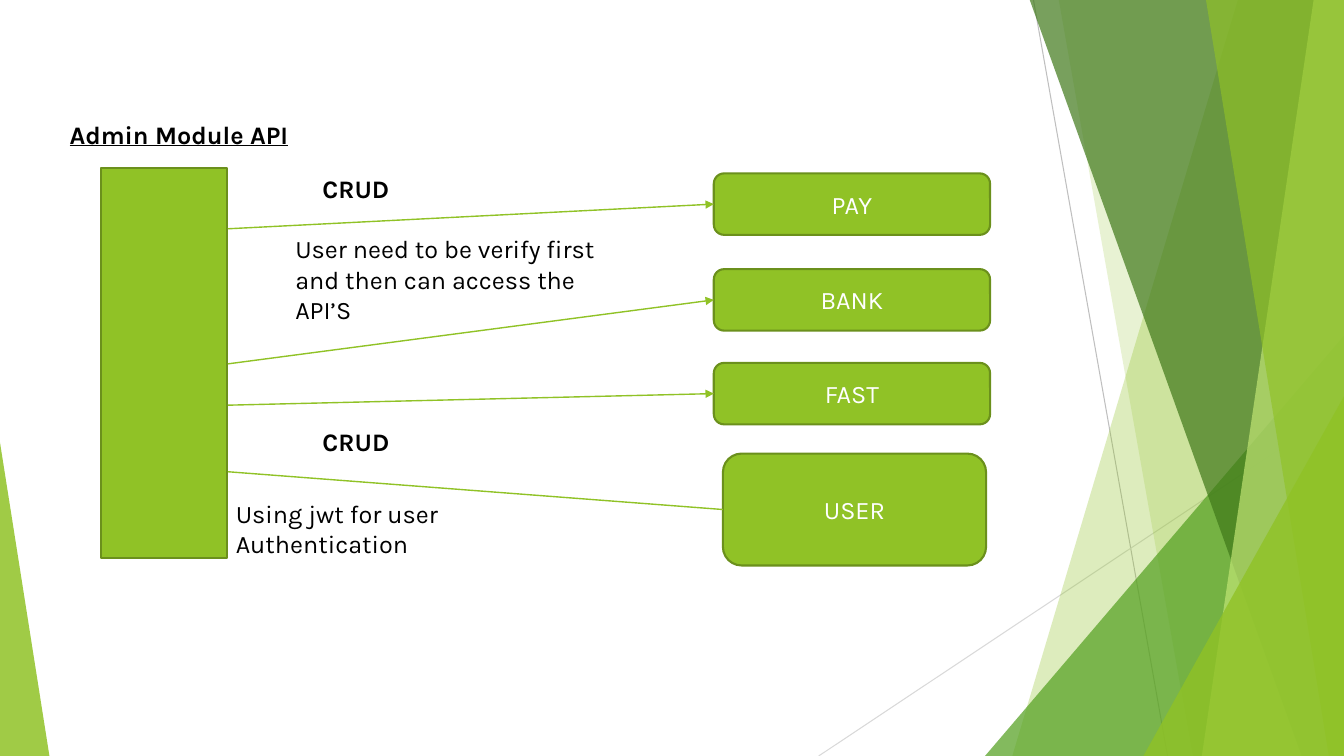
from lxml.etree import SubElement
from pptx import Presentation
from pptx.dml.color import RGBColor
from pptx.enum.shapes import MSO_CONNECTOR as CONN, MSO_SHAPE as SHAPE
from pptx.enum.text import MSO_ANCHOR as ANCHOR, PP_ALIGN as ALIGN
from pptx.oxml.ns import qn
from pptx.util import Inches, Pt

GREEN = RGBColor(0x90, 0xC2, 0x26)
EDGE = RGBColor(0x6B, 0x90, 0x1C)
MID = RGBColor(0x54, 0xA0, 0x21)
DARK = RGBColor(0x3F, 0x78, 0x19)
PALE = RGBColor(0xC0, 0xE4, 0x74)
GRAY = RGBColor(0xBF, 0xBF, 0xBF)
LIGHT_GRAY = RGBColor(0xD9, 0xD9, 0xD9)
BLACK = RGBColor(0, 0, 0)
WHITE = RGBColor(0xFF, 0xFF, 0xFF)
FONT = "Karla"
W, H = 13.33, 7.5

# Content: lengths in inches
TITLE = ("Admin Module API", (0.59, 1.13, 2.6, 0.4))
ADMIN_BAR = (1, 1.67, 1.25, 3.87)
BAR_EDGE = 2.26
# name, box, height where the line leaves the bar, arrowhead
MODULES = [
    ("PAY", (7.08, 1.72, 2.74, 0.61), 2.27, True),
    ("BANK", (7.08, 2.67, 2.74, 0.61), 3.61, True),
    ("FAST", (7.08, 3.6, 2.74, 0.61), 4.02, True),
    ("USER", (7.17, 4.5, 2.61, 1.11), 4.68, False),
]
# text, box, bold
NOTES = [
    ("CRUD", (3.1, 1.67, 2.84, 0.4), True),
    ("User need to be verify first and then can access the API’S", (2.83, 2.27, 3.38, 1.01), False),
    ("CRUD", (3.1, 4.18, 1.19, 0.4), True),
    ("Using jwt for user Authentication", (2.24, 4.89, 3.58, 0.71), False),
]
# Background facets, back to front
HAIRLINES = [((10.25, 0), (11.58, H), GRAY), ((W, 4.03), (8.12, H), LIGHT_GRAY)]
# "band": top-left and bottom-left x; "triangle": box and apex position
FACETS = [
    ("band", (12.28, 10.04), GREEN, 30),
    ("band", (10.5, 11.83), GREEN, 20),
    ("triangle", ((9.77, 3.33, 3.56, 4.17), 1), MID, 72),
    ("band", (10.21, 12.91), DARK, 70),
    ("band", (13.03, 11.92), PALE, 70),
    ("band", (11.96, 13.18), GREEN, 65),
    ("triangle", ((11.34, 3.93, 1.99, 3.57), 1), GREEN, 80),
    ("triangle", ((0, 4.39, 0.49, 3.11), 0), GREEN, 85),
]

prs = Presentation()
prs.slide_width, prs.slide_height = Inches(W), Inches(H)
slide = prs.slides.add_slide(prs.slide_layouts[5])
shapes = slide.shapes


def inches(values):
    return [Inches(v) for v in values]


def write(sp, text, color=BLACK, bold=False, underline=False, align=ALIGN.LEFT, anchor=ANCHOR.TOP):
    tf = sp.text_frame
    tf.word_wrap = True
    tf.vertical_anchor = anchor
    p = tf.paragraphs[0]
    p.alignment = align
    r = p.add_run()
    r.text = text
    font = r.font
    font.name, font.size, font.bold, font.underline = FONT, Pt(18), bold, underline
    font.color.rgb = color


def paint(sp, color, alpha=None, edge=None):
    sp.shadow.inherit = False
    sp.fill.solid()
    sp.fill.fore_color.rgb = color
    if alpha is not None:
        rgb = sp.fill._xPr.find(".//" + qn("a:srgbClr"))
        SubElement(rgb, qn("a:alpha"), val=str(alpha * 1000))
    if edge is None:
        sp.line.fill.background()
    else:
        sp.line.color.rgb = edge
        sp.line.width = Pt(1.5)


def connect(start, end, color, width, target=None, arrow=False):
    line = shapes.add_connector(CONN.STRAIGHT, *inches(start + end))
    line.line.color.rgb = color
    line.line.width = Pt(width)
    if arrow:
        SubElement(line.line._get_or_add_ln(), qn("a:tailEnd"), type="triangle")
    SubElement(line._element.spPr, qn("a:effectLst"))
    if target is not None:
        line.end_connect(target, 1)


# Background
for start, end, color in HAIRLINES:
    connect(start, end, color, 0.75)
for kind, geometry, color, alpha in FACETS:
    if kind == "band":
        top, bottom = geometry
        outline = shapes.build_freeform(Inches(top), Inches(-0.01))
        corners = [(W, -0.01), (W, H), (bottom, H)]
        outline.add_line_segments([inches(c) for c in corners], close=True)
        sp = outline.convert_to_shape()
    else:
        box, apex = geometry
        sp = shapes.add_shape(SHAPE.ISOSCELES_TRIANGLE, *inches(box))
        sp.adjustments[0] = apex
    paint(sp, color, alpha)

# Title
text, box = TITLE
title = shapes.title
title.left, title.top, title.width, title.height = inches(box)
write(title, text, bold=True, underline=True)

# Admin bar and modules
bar = shapes.add_shape(SHAPE.RECTANGLE, *inches(ADMIN_BAR))
paint(bar, GREEN, edge=EDGE)
for name, box, start_y, arrow in MODULES:
    sp = shapes.add_shape(SHAPE.ROUNDED_RECTANGLE, *inches(box))
    paint(sp, GREEN, edge=EDGE)
    write(sp, name, color=WHITE, align=ALIGN.CENTER, anchor=ANCHOR.MIDDLE)
    left, top, _, height = box
    connect((BAR_EDGE, start_y), (left, top + height / 2), GREEN, 1, target=sp, arrow=arrow)

# Notes
for text, box, bold in NOTES:
    write(shapes.add_textbox(*inches(box)), text, bold=bold)

prs.save("out.pptx")
